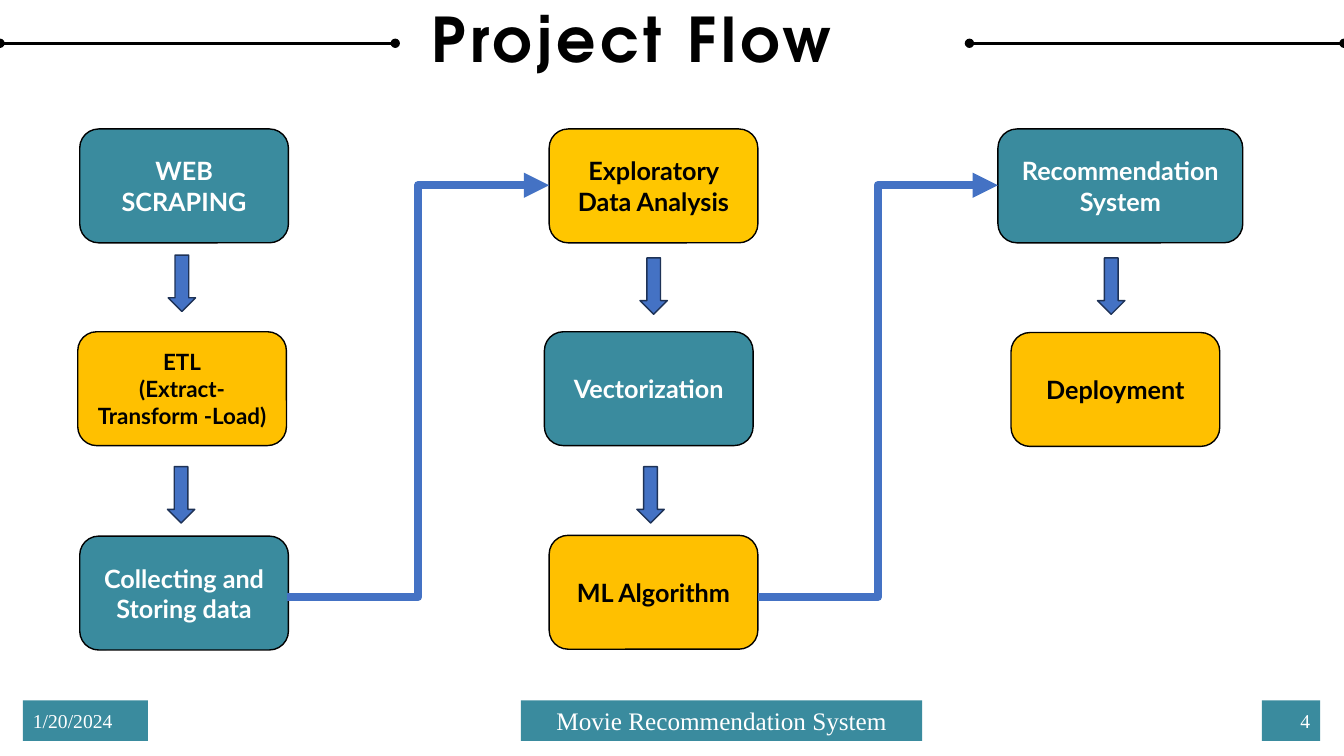
from pptx import Presentation
from pptx import util as u
from pptx.dml.color import RGBColor
from pptx.enum import shapes, text
from pptx.oxml.ns import qn
from lxml import etree

TEAL = RGBColor(0x3A, 0x8B, 0x9E)
AMBER = RGBColor(0xFF, 0xC0, 0x00)
BRIGHT_AMBER = RGBColor(0xFF, 0xC6, 0x00)
BLUE = RGBColor(0x44, 0x72, 0xC4)
NAVY = RGBColor(0x1E, 0x32, 0x56)
BLACK = RGBColor(0, 0, 0)
WHITE = RGBColor(255, 255, 255)

SHAPE = shapes.MSO_SHAPE
CONNECTOR = shapes.MSO_CONNECTOR
ALIGN = text.PP_ALIGN

NODE_WIDTH, NODE_HEIGHT = 5.26, 2.87
FOOTER_TOP, FOOTER_HEIGHT = 17.65, 1.02
RULE_Y = 1.09


class FlowSlide:
    """Holds the style and the current slide; lengths are centimetres."""

    title_style = {"name": "TeX Gyre Adventor", "size": u.Pt(44), "bold": True}
    node_style = {"name": "Lato", "bold": True}
    footer_style = {"name": "Times New Roman", "bold": False}

    def __init__(self, presentation):
        self.slide = presentation.slides.add_slide(presentation.slide_layouts[5])

    def label(self, shape, words, color, style, align=ALIGN.CENTER):
        frame = shape.text_frame
        frame.text = words
        frame.word_wrap = True
        frame.auto_size = text.MSO_AUTO_SIZE.NONE
        frame.vertical_anchor = text.MSO_ANCHOR.MIDDLE
        for paragraph in frame.paragraphs:
            paragraph.alignment = align
            for run in paragraph.runs:
                for attribute, value in style.items():
                    setattr(run.font, attribute, value)
                run.font.color.rgb = color

    def title(self, words, left, top, width, height):
        shape = self.slide.shapes.title
        box = {"left": left, "top": top, "width": width, "height": height}
        for attribute, value in box.items():
            setattr(shape, attribute, u.Cm(value))
        self.label(shape, words, BLACK, self.title_style)
        run = shape.text_frame.paragraphs[0].runs[0]
        run.font._element.set("spc", "300")

    def block(self, kind, box, fill, outline=None):
        shape = self.slide.shapes.add_shape(kind, *map(u.Cm, box))
        shape.shadow.inherit = False
        shape.fill.solid()
        shape.fill.fore_color.rgb = fill
        if outline is None:
            shape.line.fill.background()
        else:
            shape.line.color.rgb = outline
            shape.line.width = u.Pt(1)
        return shape

    def node(self, words, left, top, fill, size=18, width=NODE_WIDTH):
        shape = self.block(SHAPE.ROUNDED_RECTANGLE,
                           (left, top, width, NODE_HEIGHT), fill, BLACK)
        color = WHITE if fill == TEAL else BLACK
        self.label(shape, words, color, {**self.node_style, "size": u.Pt(size)})

    def down_arrow(self, left, top):
        self.block(SHAPE.DOWN_ARROW, (left, top, 0.69, 1.42), BLUE, NAVY)

    def footer(self, words, left, width, size, align):
        shape = self.block(SHAPE.RECTANGLE,
                           (left, FOOTER_TOP, width, FOOTER_HEIGHT), TEAL)
        style = {**self.footer_style, "size": u.Pt(size)}
        self.label(shape, words, WHITE, style, align)

    def connector(self, kind, points, color, width, ends):
        line = self.slide.shapes.add_connector(kind, *map(u.Cm, points))
        line.line.color.rgb = color
        line.line.width = u.Pt(width)
        properties = line._element.spPr
        outline = properties.find(qn("a:ln"))
        for end, head in ends.items():
            etree.SubElement(outline, qn("a:" + end)).set("type", head)
        etree.SubElement(properties, qn("a:effectLst"))


def main():
    presentation = Presentation()
    presentation.slide_width = u.Cm(33.87)
    presentation.slide_height = u.Cm(19.05)
    flow = FlowSlide(presentation)

    # Title between two rules
    flow.title("Project Flow", -0.43, -0.1, 32.72, 2.13)
    for start, end in ((0, 9.96), (24.43, 33.87)):
        flow.connector(CONNECTOR.STRAIGHT, (start, RULE_Y, end, RULE_Y),
                       BLACK, 2.25, {"headEnd": "oval", "tailEnd": "oval"})

    # Footer
    flow.footer("1/20/2024", 0.58, 3.15, 14, ALIGN.LEFT)
    flow.footer("Movie Recommendation System", 13.13, 10.11, 18, ALIGN.CENTER)
    flow.footer("4", 31.8, 1.47, 14, ALIGN.RIGHT)

    # Steps, column by column
    flow.node("WEB SCRAPING", 2.01, 3.25, TEAL)
    flow.node("ETL\n(Extract- Transform -Load)", 1.96, 8.36, AMBER, size=16)
    flow.node("Collecting and Storing data", 2.01, 13.51, TEAL)
    flow.node("Exploratory Data Analysis", 13.84, 3.25, BRIGHT_AMBER)
    flow.node("Vectorization", 13.72, 8.36, TEAL)
    flow.node("ML Algorithm", 13.84, 13.49, AMBER)
    flow.node("Recommendation System", 25.15, 3.25, TEAL, width=6.17)
    flow.node("Deployment", 25.48, 8.38, AMBER)

    # Arrows down each column
    for left, top in ((4.24, 6.43), (4.22, 11.76), (16.13, 6.5),
                      (16.05, 11.76), (27.66, 6.5)):
        flow.down_arrow(left, top)

    # Bent arrows to the top of the next column
    for start, end in ((7.24, 13.84), (19.1, 25.15)):
        flow.connector(CONNECTOR.ELBOW, (start, 15.04, end, 4.67),
                       BLUE, 6, {"tailEnd": "triangle"})

    presentation.save("out.pptx")


if __name__ == "__main__":
    main()
